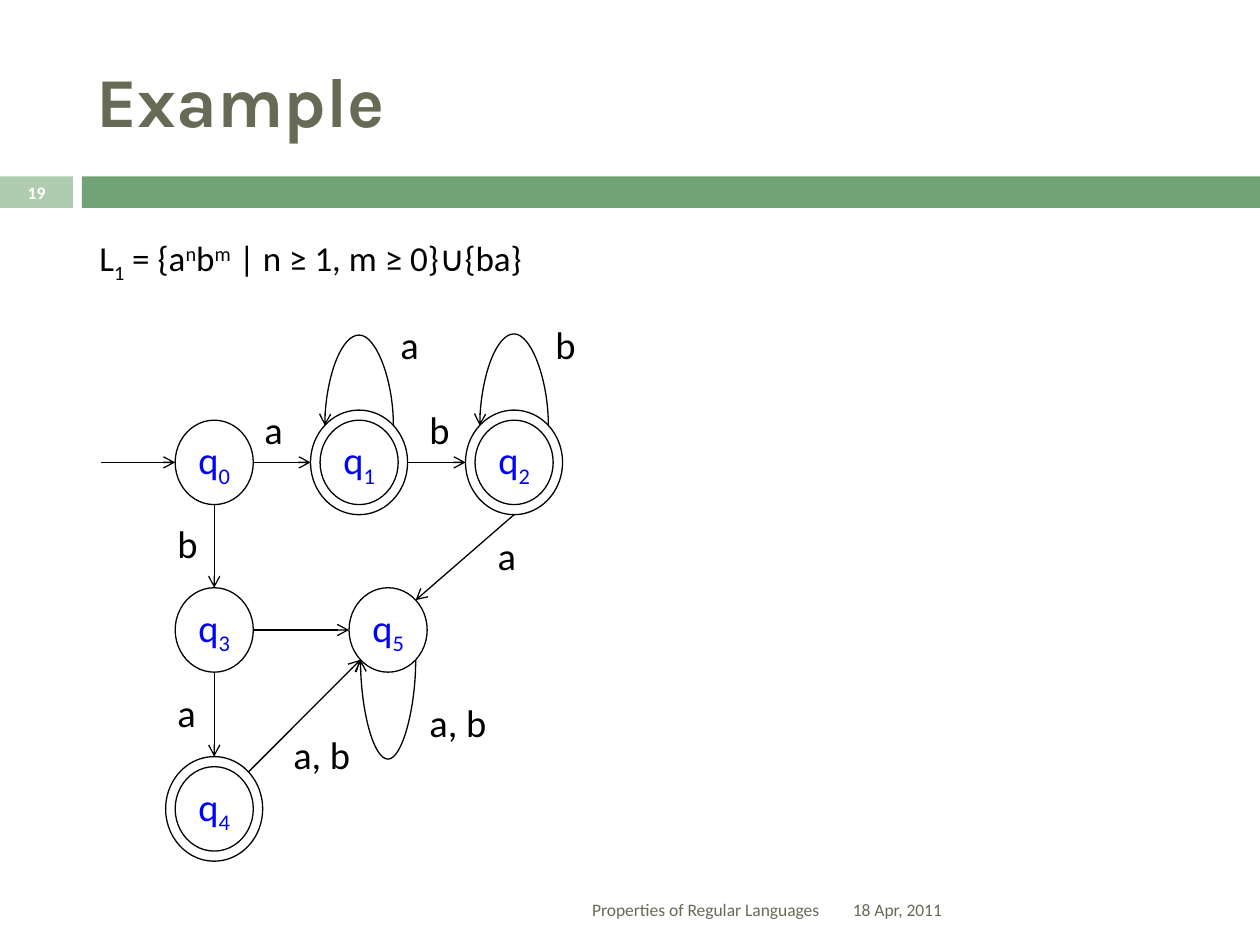
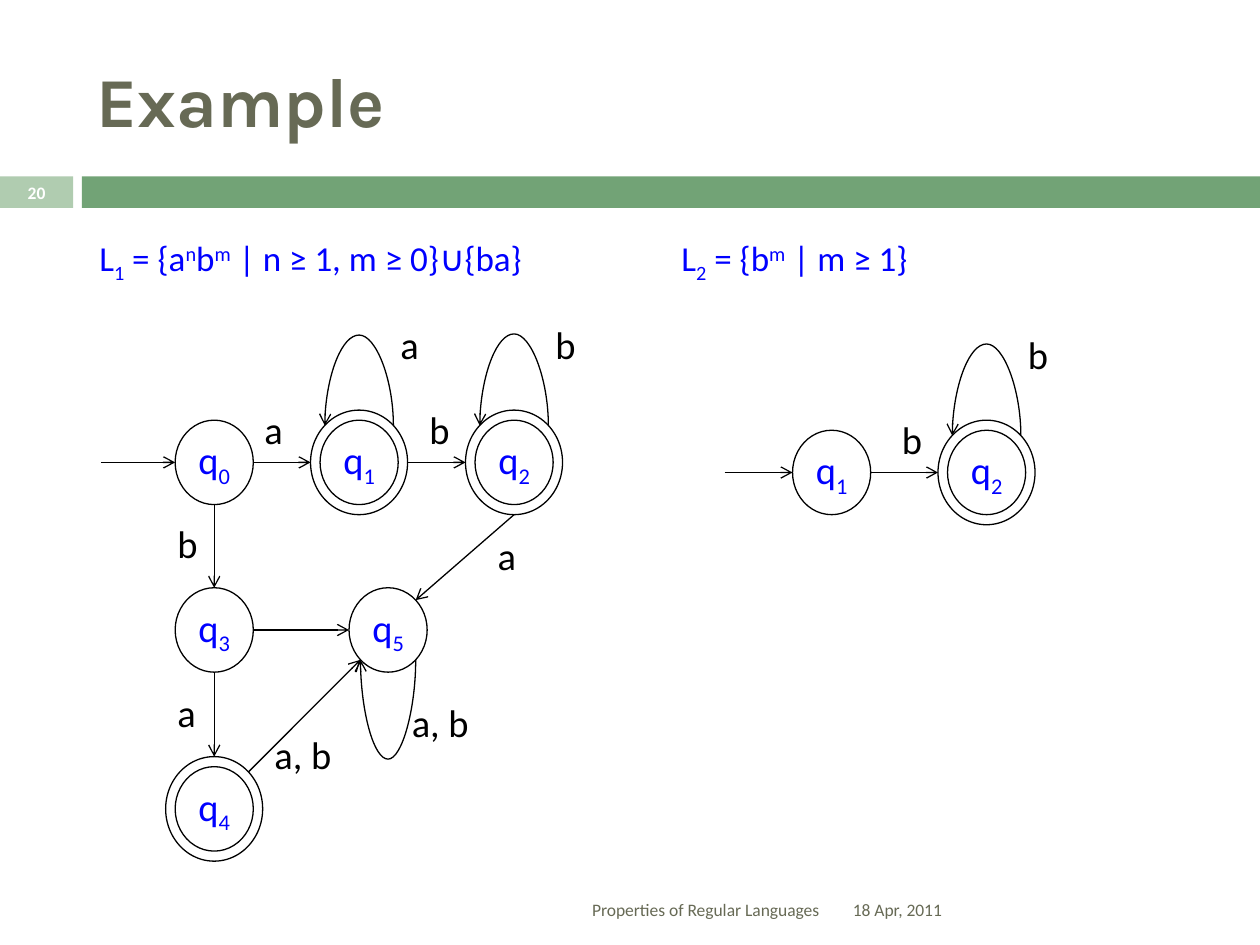
from math import cos, radians, sin

from lxml.etree import SubElement
from pptx import Presentation
from pptx.dml.color import RGBColor
from pptx.enum.shapes import MSO_CONNECTOR as Connector, MSO_SHAPE as Shape
from pptx.enum.text import MSO_ANCHOR as Anchor, PP_ALIGN as Align
from pptx.oxml.ns import qn
from pptx.util import Inches, Pt

WIDTH, HEIGHT = 10, 7.5
BLACK, BLUE, WHITE, OLIVE = "000000", "0000FF", "FFFFFF", "676A55"
LIGHT_GREEN, GREEN = "B0CCB0", "72A376"
BODY_FONT, TITLE_FONT = "Calibri", "Karla"
SUB, SUPER = -25, 30
STATE_SIZE, RING_SIZE = (0.62, 0.67), (0.77, 0.83)
TOP, TOP_LEFT, LEFT, BOTTOM_LEFT, BOTTOM, BOTTOM_RIGHT, RIGHT, TOP_RIGHT = range(8)
LOOP_DEPTH = 1587

TITLE = "Example"
FOOTER = "Properties of Regular Languages"
DATE = "18 Apr, 2011"

L1 = [("L", 0), ("1", SUB), (" = {a", 0), ("n", SUPER), ("b", 0), ("m", SUPER),
      (" | n ≥ 1, m ≥ 0}∪{ba}", 0)]
L2 = [("L", 0), ("2", SUB), (" = {b", 0), ("m", SUPER), (" | m ≥ 1}", 0)]

UNION_MACHINE = {
    "states": {"0": (1.7, 3.67), "1": (2.85, 3.67), "2": (4.08, 3.67),
               "3": (1.7, 5), "4": (1.7, 6.42), "5": (3.08, 5)},
    "accepting": "124",
    "start": ("0", 0.59),
    "edges": [("0", RIGHT, "1", LEFT), ("1", RIGHT, "2", LEFT),
              ("0", BOTTOM, "3", TOP), ("3", BOTTOM, "4", TOP),
              ("3", RIGHT, "5", LEFT), ("4", TOP_RIGHT, "5", BOTTOM_LEFT),
              ("2", BOTTOM, "5", TOP_RIGHT)],
    "loops": [("1", TOP, 0.79), ("2", TOP, 0.8), ("5", BOTTOM, 0.87)],
    "labels": [("a", 2, 3.17), ("b", 3.31, 3.17), ("a", 3.08, 2.5), ("b", 4.31, 2.5),
               ("b", 1.31, 4.08), ("a", 3.85, 4.17), ("a", 1.31, 5.42)],
}
B_MACHINE = {
    "states": {"1": (6.6, 3.75), "2": (7.83, 3.75)},
    "accepting": "2",
    "start": ("1", 0.54),
    "edges": [("1", RIGHT, "2", LEFT)],
    "loops": [("2", TOP, 0.8)],
    "labels": [("b", 7.06, 3.25), ("b", 8.06, 2.58)],
}
SLIDES = [
    {"number": "19", "formulas": [(L1, 0.69, 4, BLACK)], "machines": [UNION_MACHINE],
     "labels": [("a, b", 3.31, 5.5), ("a, b", 2.23, 5.75)]},
    {"number": "20", "formulas": [(L1, 0.69, 4, BLUE), (L2, 5.31, 2.31, BLUE)],
     "machines": [UNION_MACHINE, B_MACHINE],
     "labels": [("a, b", 3.17, 5.5), ("a, b", 2.08, 5.75)]},
]


def color(value):
    return RGBColor.from_string(value)


def write(shape, runs, size, ink, font=BODY_FONT, bold=False, align=Align.LEFT,
          anchor=Anchor.TOP, wrap=True):
    frame = shape.text_frame
    frame.word_wrap = wrap
    frame.vertical_anchor = anchor
    paragraph = frame.paragraphs[0]
    paragraph.alignment = align
    for text, baseline in runs:
        run = paragraph.add_run()
        run.text = text
        run.font.size = Pt(size)
        run.font.name = font
        run.font.bold = bold
        run.font.color.rgb = color(ink)
        if baseline:
            run.font._element.set("baseline", str(baseline * 1000))


def add_text(slide, box, runs, size, ink, **style):
    shape = slide.shapes.add_textbox(*map(Inches, box))
    write(shape, runs, size, ink, **style)


def add_band(slide, left, width, fill):
    band = slide.shapes.add_shape(Shape.RECTANGLE, *map(Inches, (left, 1.4, width, 0.25)))
    band.shadow.inherit = False
    band.fill.solid()
    band.fill.fore_color.rgb = color(fill)
    band.line.fill.background()


def add_ellipse(slide, center, size):
    corner = [middle - length / 2 for middle, length in zip(center, size)]
    ellipse = slide.shapes.add_shape(Shape.OVAL, *map(Inches, (*corner, *size)))
    ellipse.shadow.inherit = False
    ellipse.fill.background()
    ellipse.line.color.rgb = color(BLACK)
    ellipse.line.width = Pt(0.75)
    return ellipse


def add_arrow(slide, start, end, kind=Connector.STRAIGHT):
    arrow = slide.shapes.add_connector(kind, *map(Inches, (*start, *end)))
    arrow.line.color.rgb = color(BLACK)
    arrow.line.width = Pt(0.75)
    SubElement(arrow.line._get_or_add_ln(), qn("a:tailEnd"), type="arrow")
    SubElement(arrow._element.spPr, qn("a:effectLst"))
    return arrow


def add_loop(slide, outline, start, end, sites, side, reach):
    loop = add_arrow(slide, start, end, Connector.CURVE)
    loop._connect_begin_to(outline, sites[0])
    loop._connect_end_to(outline, sites[1])
    span = start[0] - end[0]
    loop.left = Inches((start[0] + end[0]) / 2) - LOOP_DEPTH // 2
    loop.top = Inches(start[1] - span / 2)
    loop.width, loop.height = LOOP_DEPTH, Inches(span)
    frame = loop._element.spPr.find(qn("a:xfrm"))
    flip = "1" if side == TOP else "0"
    frame.set("rot", str((270 if side == TOP else 90) * 60000))
    frame.set("flipH", flip)
    frame.set("flipV", flip)
    sign = -1 if side == TOP else 1
    bend = round(sign * Inches(reach) / LOOP_DEPTH * 100000)
    geometry = loop._element.spPr.find(qn("a:prstGeom"))
    geometry.set("prst", "curvedConnector3")
    guides = geometry.find(qn("a:avLst"))
    if guides is None:
        guides = SubElement(geometry, qn("a:avLst"))
    SubElement(guides, qn("a:gd"), name="adj1", fmla=f"val {bend}")


def add_label(slide, text, left, top):
    width = 0.42 if len(text) == 1 else 0.77
    add_text(slide, (left, top, width, 0.47), [(text, 0)], 22, BLACK)


def add_machine(slide, machine):
    states, accepting = machine["states"], machine["accepting"]
    outlines = {}
    for name, center in states.items():
        outlines[name] = add_ellipse(slide, center, STATE_SIZE)
        frame = outlines[name].text_frame
        frame.margin_left = frame.margin_right = 0
        write(outlines[name], [("q", 0), (name, SUB)], 22, BLUE, align=Align.CENTER,
              anchor=Anchor.MIDDLE, wrap=False)
        if name in accepting:
            outlines[name] = add_ellipse(slide, center, RING_SIZE)

    def site_point(name, site):
        width, height = RING_SIZE if name in accepting else STATE_SIZE
        angle = radians(45 * site)
        x, y = states[name]
        return x - width / 2 * sin(angle), y - height / 2 * cos(angle)

    first, length = machine["start"]
    x, y = site_point(first, LEFT)
    add_arrow(slide, (x - length, y), (x, y))
    for source, leaving, target, entering in machine["edges"]:
        add_arrow(slide, site_point(source, leaving), site_point(target, entering))
    for name, side, reach in machine["loops"]:
        sites = (TOP_RIGHT, TOP_LEFT) if side == TOP else (BOTTOM_RIGHT, BOTTOM_LEFT)
        start, end = (site_point(name, site) for site in sites)
        add_loop(slide, outlines[name], start, end, sites, side, reach)
    for label in machine["labels"]:
        add_label(slide, *label)


def add_frame(slide, number):
    add_band(slide, 0, 0.58, LIGHT_GREEN)
    add_band(slide, 0.65, WIDTH - 0.65, GREEN)
    middle = {"anchor": Anchor.MIDDLE}
    add_text(slide, (0.67, 0.25, 8.92, 1.08), [(TITLE, 0)], 40, OLIVE,
             font=TITLE_FONT, bold=True, **middle)
    add_text(slide, (6.67, 7.02, 2.92, 0.4), [(DATE, 0)], 10, OLIVE, **middle)
    add_text(slide, (0.67, 7.02, 5.93, 0.4), [(FOOTER, 0)], 10, OLIVE,
             align=Align.RIGHT, **middle)
    add_text(slide, (0, 1.39, 0.58, 0.27), [(number, 0)], 10, WHITE, bold=True,
             align=Align.CENTER, **middle)


def main():
    presentation = Presentation()
    presentation.slide_width, presentation.slide_height = Inches(WIDTH), Inches(HEIGHT)
    for content in SLIDES:
        slide = presentation.slides.add_slide(presentation.slide_layouts[6])
        add_frame(slide, content["number"])
        for runs, left, width, ink in content["formulas"]:
            add_text(slide, (left, 1.83, width, 0.43), runs, 20, ink)
        for machine in content["machines"]:
            add_machine(slide, machine)
        for label in content["labels"]:
            add_label(slide, *label)
    presentation.save("out.pptx")


if __name__ == "__main__":
    main()
